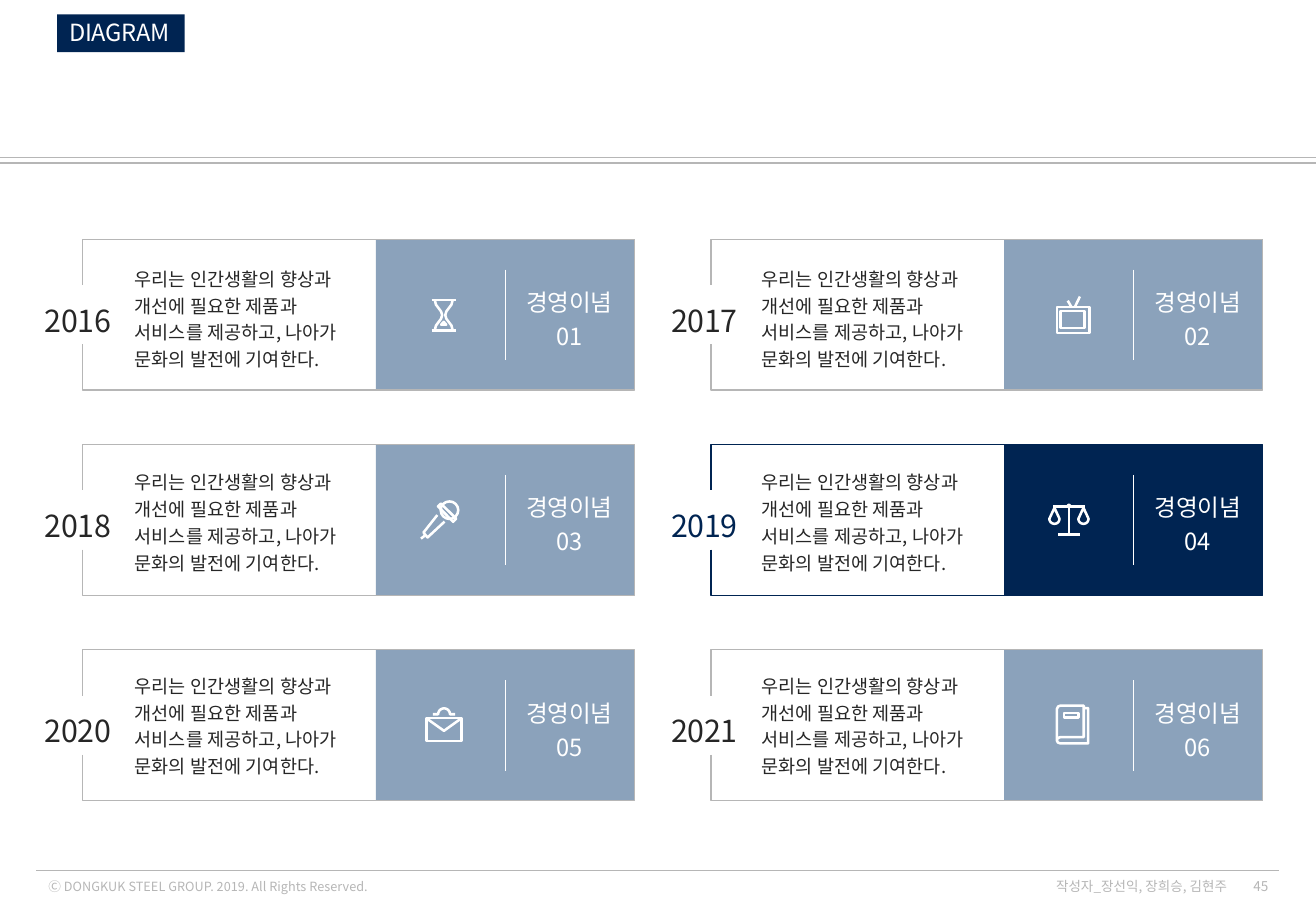
from dataclasses import dataclass
from math import cos, radians, sin

from lxml import etree
from pptx import Presentation
from pptx.dml.color import RGBColor
from pptx.enum.shapes import MSO_CONNECTOR, MSO_SHAPE
from pptx.enum.text import MSO_ANCHOR, MSO_AUTO_SIZE, PP_ALIGN
from pptx.oxml.ns import qn
from pptx.util import Pt

RECTANGLE = MSO_SHAPE.RECTANGLE
STRAIGHT = MSO_CONNECTOR.STRAIGHT
TOP, MIDDLE = MSO_ANCHOR.TOP, MSO_ANCHOR.MIDDLE
LEFT, CENTER, RIGHT = PP_ALIGN.LEFT, PP_ALIGN.CENTER, PP_ALIGN.RIGHT
NO_AUTOFIT = MSO_AUTO_SIZE.NONE


@dataclass(frozen=True)
class Theme:
    font: str = "Noto Sans CJK KR"
    navy: str = "002452"
    steel: str = "8BA2BB"
    gray: str = "B6B6B6"
    ink: str = "262626"
    white: str = "FFFFFF"
    year_size: float = 18
    label_size: float = 14
    note_size: float = 11
    footer_size: float = 8
    copyright_size: float = 7.5


THEME = Theme()

STATEMENT = "우리는 인간생활의 향상과 개선에 필요한 제품과 서비스를 제공하고, 나아가 문화의 발전에 기여한다."
CAPTION = "경영이념"
FIRST_YEAR = 2016
HIGHLIGHT = 3
CARD_LEFT, CARD_TOP = 49, 141.8
CARD_WIDTH, CARD_HEIGHT = 327, 89.4
COLUMN_STEP, ROW_STEP = 372.4, 121.7


def arc(x, y, radius, start, end):
    steps = 16
    angles = [radians(start + (end - start) * i / steps) for i in range(steps + 1)]
    return [(x + radius * cos(a), y + radius * sin(a)) for a in angles]


def box(left, top, right, bottom):
    return [(left, top), (right, top), (right, bottom), (left, bottom), (left, top)]


def scale_pan(x):
    return [(x, -7.5), *arc(x, -1, 3, 0, 180), (x, -7.5)]


def glass_side(sign):
    profile = [(5.3, -9), (4.6, -6.2), (1.6, -2.2), (0.9, 0), (1.6, 2.2), (4.6, 6.2), (5.3, 9)]
    return [(sign * x, y) for x, y in profile]


HOURGLASS = [
    [(-7.2, -9), (7.2, -9)],
    [(-7.2, 9), (7.2, 9)],
    glass_side(-1),
    glass_side(1),
    [(-1.5, 5.7), (1.5, 5.7), (0, 4), (-1.5, 5.7)],
]
TELEVISION = [
    box(-9, -4.7, 10.4, 10.5),
    box(-6.8, -2.5, 7.5, 7.6),
    [(-2.5, -8.6), (-0.4, -5)],
    [(4.7, -11), (1.8, -5)],
]
MICROPHONE = [
    arc(3.4, -6.1, 5.2, 0, 360),
    [(-1.6, -10), (7.4, -1), (5.6, 0.8), (-3.4, -8.3), (-1.6, -10)],
    [(-3.8, -3.2), (-12, 7.2), (-9.6, 10.1), (0.5, 0.7)],
    [(-13.5, 10.8), (-11.2, 9)],
]
SCALES = [
    [(-11.2, -8.3), (7.6, -8.3)],
    [(-1.8, -8.8), (-1.8, 8.3)],
    [(-8.3, 8.3), (4.7, 8.3)],
    arc(-1.8, -8.6, 0.6, 0, 360),
    scale_pan(-10.4),
    scale_pan(6.8),
]
ENVELOPE = [
    box(-10.2, -4.7, 10.5, 9),
    [(-10.2, -4.4), (0.2, 3), (10.5, -4.4)],
    [(-6.5, -6.8), *arc(0.2, -6.8, 3.5, 180, 360), (6.8, -6.8)],
]
BOOK = [
    [(-9, 8.6), (-9, -9.8), (-8.2, -11.4), (-7, -11.9), (7, -11.9), (7, 6.8),
     (-7, 6.8), (-8.4, 7.3), (-9, 8.6), (-8.4, 9.9), (-7, 10.4), (9.6, 10.4),
     (9.6, -10.5), (7, -10.5)],
    box(-4.7, -7.6, 3.9, -4.7),
]
ICONS = [HOURGLASS, TELEVISION, MICROPHONE, SCALES, ENVELOPE, BOOK]


def rgb(color):
    return RGBColor.from_string(color)


def write(frame, text, *, size, color, align=LEFT, anchor=TOP, wrap=True,
          spacing=1.0, tracking=0, inset=(7.2, 3.6)):
    frame.auto_size = NO_AUTOFIT
    frame.word_wrap = wrap
    frame.vertical_anchor = anchor
    frame.margin_left = frame.margin_right = Pt(inset[0])
    frame.margin_top = frame.margin_bottom = Pt(inset[1])
    frame.text = text
    for paragraph in frame.paragraphs:
        paragraph.alignment = align
        paragraph.line_spacing = spacing
        paragraph.space_before = Pt(0)
        for run in paragraph.runs:
            run.font.size = Pt(size)
            run.font.name = THEME.font
            run.font.color.rgb = rgb(color)
            properties = run._r.get_or_add_rPr()
            properties.set("spc", str(round(tracking * 100)))
            etree.SubElement(properties, qn("a:ea"), typeface=THEME.font)


def add_label(slide, area, text, **style):
    label = slide.shapes.add_textbox(*map(Pt, area))
    write(label.text_frame, text, **style)


def add_rule(slide, start, end, color, width):
    rule = slide.shapes.add_connector(STRAIGHT, *map(Pt, (*start, *end)))
    rule.line.color.rgb = rgb(color)
    rule.line.width = Pt(width)
    etree.SubElement(rule._element.spPr, qn("a:effectLst"))


def add_outline(slide, origin, points, color, width):
    start, *rest = [(Pt(origin[0] + x), Pt(origin[1] + y)) for x, y in points]
    builder = slide.shapes.build_freeform(*start)
    builder.add_line_segments(rest, close=False)
    outline = builder.convert_to_shape()
    outline.shadow.inherit = False
    outline.fill.background()
    outline.line.color.rgb = rgb(color)
    outline.line.width = Pt(width)


def add_panel(slide, area, color):
    panel = slide.shapes.add_shape(RECTANGLE, *map(Pt, area))
    panel.shadow.inherit = False
    panel.fill.solid()
    panel.fill.fore_color.rgb = rgb(color)
    panel.line.fill.background()


def add_card(slide, index, icon):
    row, column = divmod(index, 2)
    left = CARD_LEFT + column * COLUMN_STEP
    top = CARD_TOP + row * ROW_STEP
    label_shift = column * 371.5
    highlighted = index == HIGHLIGHT
    panel_color = THEME.navy if highlighted else THEME.steel
    frame_color = THEME.navy if highlighted else THEME.gray
    year_color = THEME.navy if highlighted else THEME.ink

    add_panel(slide, (left + 173.8, top, 153.4, CARD_HEIGHT), panel_color)
    frame = [(0, 62.3), (0, CARD_HEIGHT), (CARD_WIDTH, CARD_HEIGHT),
             (CARD_WIDTH, 0), (0, 0), (0, 27.2)]
    add_outline(slide, (left, top), frame, frame_color, 0.75)
    for stroke in icon:
        add_outline(slide, (left + 214, top + 45), stroke, THEME.white, 1.5)
    add_rule(slide, (left + 250.5, top + 18), (left + 250.5, top + 71.6), THEME.white, 0.75)
    add_label(slide, (left + 255.8, top + 22, 65.5, 48.2), f"{CAPTION}\n{index + 1:02}",
              size=THEME.label_size, color=THEME.white, align=CENTER,
              wrap=False, spacing=1.2, tracking=-0.2)
    add_label(slide, (79.9 + label_shift, 156.2 + row * 120.6, 127.4, 64.1), STATEMENT,
              size=THEME.note_size, color=THEME.ink, spacing=1.2, inset=(0, 0))
    add_label(slide, (19.4 + label_shift, top + 29.3, 55.4, 31.7), str(FIRST_YEAR + index),
              size=THEME.year_size, color=year_color, wrap=False,
              spacing=1.2, tracking=-0.2)


def add_title(slide, text):
    title = slide.shapes.title
    title.left, title.top, title.width, title.height = map(Pt, (33.8, 8.6, 75.6, 22.4))
    title.fill.solid()
    title.fill.fore_color.rgb = rgb(THEME.navy)
    write(title.text_frame, text, size=THEME.label_size, color=THEME.white,
          anchor=MIDDLE, wrap=False, spacing=0.9, tracking=-0.2)


def add_footer(slide):
    add_rule(slide, (21.6, 516.2), (758.2, 516.2), THEME.gray, 0.5)
    add_label(slide, (21.6, 517, 249.8, 16.6),
              "Ⓒ DONGKUK STEEL GROUP. 2019. All Rights Reserved.",
              size=THEME.copyright_size, color=THEME.gray, anchor=MIDDLE)
    for area, text in [((729.4, 519.8, 29.5, 11.5), "45"),
                       ((613.4, 519.8, 121, 11.5), "작성자_장선익, 장희승, 김현주")]:
        add_label(slide, area, text, size=THEME.footer_size, color=THEME.gray,
                  align=RIGHT, anchor=MIDDLE)


def main():
    deck = Presentation()
    deck.slide_width, deck.slide_height = Pt(780), Pt(540)
    slide = deck.slides.add_slide(deck.slide_layouts[5])
    add_title(slide, "DIAGRAM")
    add_rule(slide, (0, 96.5), (780, 96.5), THEME.gray, 1.5)
    add_rule(slide, (0, 93.6), (780, 93.6), THEME.gray, 0.5)
    for index, icon in enumerate(ICONS):
        add_card(slide, index, icon)
    add_footer(slide)
    deck.save("out.pptx")


if __name__ == "__main__":
    main()
